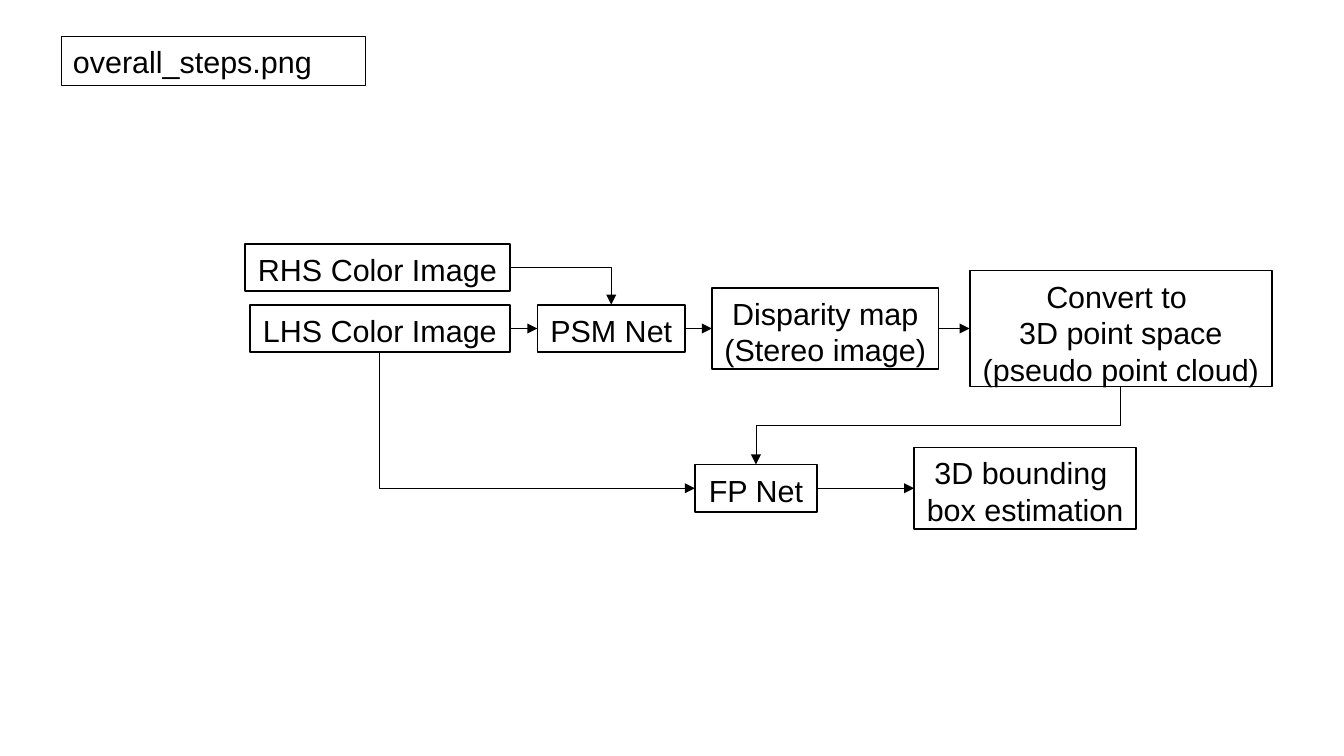
import pptx
import pptx.dml.color
import pptx.enum.shapes
import pptx.enum.text
import pptx.oxml
import pptx.oxml.ns
import pptx.util

Pt = pptx.util.Pt
TOP, LEFT, BOTTOM, RIGHT = range(4)
INK = "000000"
HAIRLINE = 0.5
ROW_CENTERS = {"right": 158, "stereo": 194, "fusion": 288.3}
BOX_HEIGHTS = {1: 28.1, 2: 48.2, 3: 68.4}


def color(value):
    return pptx.dml.color.RGBColor.from_string(value)


def add_box(page, left, top, width, height, lines, line_width, centered):
    box = page.shapes.add_shape(
        pptx.enum.shapes.MSO_SHAPE.RECTANGLE,
        Pt(left), Pt(top), Pt(width), Pt(height))
    box.shadow.inherit = False
    box.fill.background()
    box.line.color.rgb = color(INK)
    box.line.width = Pt(line_width)
    frame = box.text_frame
    frame.word_wrap = not centered
    frame.vertical_anchor = pptx.enum.text.MSO_ANCHOR.TOP
    frame.margin_left = frame.margin_right = Pt(7.9 if centered else 7.2)
    frame.margin_top = Pt(4.2 if centered else 3.6)
    frame.margin_bottom = Pt(0)
    frame.text = "\n".join(lines)
    alignment = pptx.enum.text.PP_ALIGN
    for para in frame.paragraphs:
        para.alignment = alignment.CENTER if centered else alignment.LEFT
        para.font.name = "Arial"
        para.font.size = Pt(18)
        para.font.color.rgb = color(INK)
    return box


def add_step(page, row, left, width, *lines):
    height = BOX_HEIGHTS[len(lines)]
    top = ROW_CENTERS[row] - height / 2
    return add_box(page, left, top, width, height, lines, 1, True)


def add_arrow(page, kind, start, start_side, end, end_side):
    arrow = page.shapes.add_connector(kind, 0, 0, 0, 0)
    arrow.begin_connect(start, start_side)
    arrow.end_connect(end, end_side)
    arrow.line.color.rgb = color(INK)
    arrow.line.width = Pt(HAIRLINE)
    properties = arrow._element.spPr
    namespace = pptx.oxml.ns.nsdecls("a")
    head = pptx.oxml.parse_xml(f'<a:tailEnd {namespace} type="triangle"/>')
    properties.find(pptx.oxml.ns.qn("a:ln")).append(head)
    properties.append(pptx.oxml.parse_xml(f"<a:effectLst {namespace}/>"))
    return arrow


def add_straight(page, start, end):
    kind = pptx.enum.shapes.MSO_CONNECTOR.STRAIGHT
    add_arrow(page, kind, start, RIGHT, end, LEFT)


def add_elbow(page, start, start_side, end, end_side, preset, rotation=0, flip=False):
    kind = pptx.enum.shapes.MSO_CONNECTOR.ELBOW
    arrow = add_arrow(page, kind, start, start_side, end, end_side)
    properties = arrow._element.spPr
    properties.find(pptx.oxml.ns.qn("a:prstGeom")).set("prst", preset)
    if rotation:
        left, top, width, height = arrow.left, arrow.top, arrow.width, arrow.height
        arrow.left = left + (width - height) // 2
        arrow.top = top + (height - width) // 2
        arrow.width, arrow.height = height, width
        arrow.rotation = rotation
        properties.find(pptx.oxml.ns.qn("a:xfrm")).set("flipH", str(int(flip)))


def main():
    deck = pptx.Presentation()
    deck.slide_width, deck.slide_height = Pt(793.44), Pt(446.4)
    page = deck.slides.add_slide(deck.slide_layouts[6])

    add_box(page, 36, 21.6, 180, 28.8, ["overall_steps.png"], HAIRLINE, False)

    right_image = add_step(page, "right", 144.7, 156.3, "RHS Color Image")
    left_image = add_step(page, "stereo", 147.6, 153.4, "LHS Color Image")
    stereo_net = add_step(page, "stereo", 317.3, 87.1, "PSM Net")
    disparity = add_step(page, "stereo", 420.3, 133.9, "Disparity map", "(Stereo image)")
    cloud = add_step(page, "stereo", 572.5, 178.4,
                     "Convert to ", "3D point space", "(pseudo point cloud)")
    fusion_net = add_step(page, "fusion", 410.3, 72, "FP Net")
    estimation = add_step(page, "fusion", 539.7, 131, "3D bounding ", "box estimation")

    for start, end in [(left_image, stereo_net), (stereo_net, disparity),
                       (disparity, cloud), (fusion_net, estimation)]:
        add_straight(page, start, end)

    add_elbow(page, right_image, RIGHT, stereo_net, TOP, "bentConnector2")
    add_elbow(page, cloud, BOTTOM, fusion_net, TOP, "bentConnector3", 90)
    add_elbow(page, left_image, BOTTOM, fusion_net, LEFT, "bentConnector2", 270, True)

    deck.save("out.pptx")


if __name__ == "__main__":
    main()
